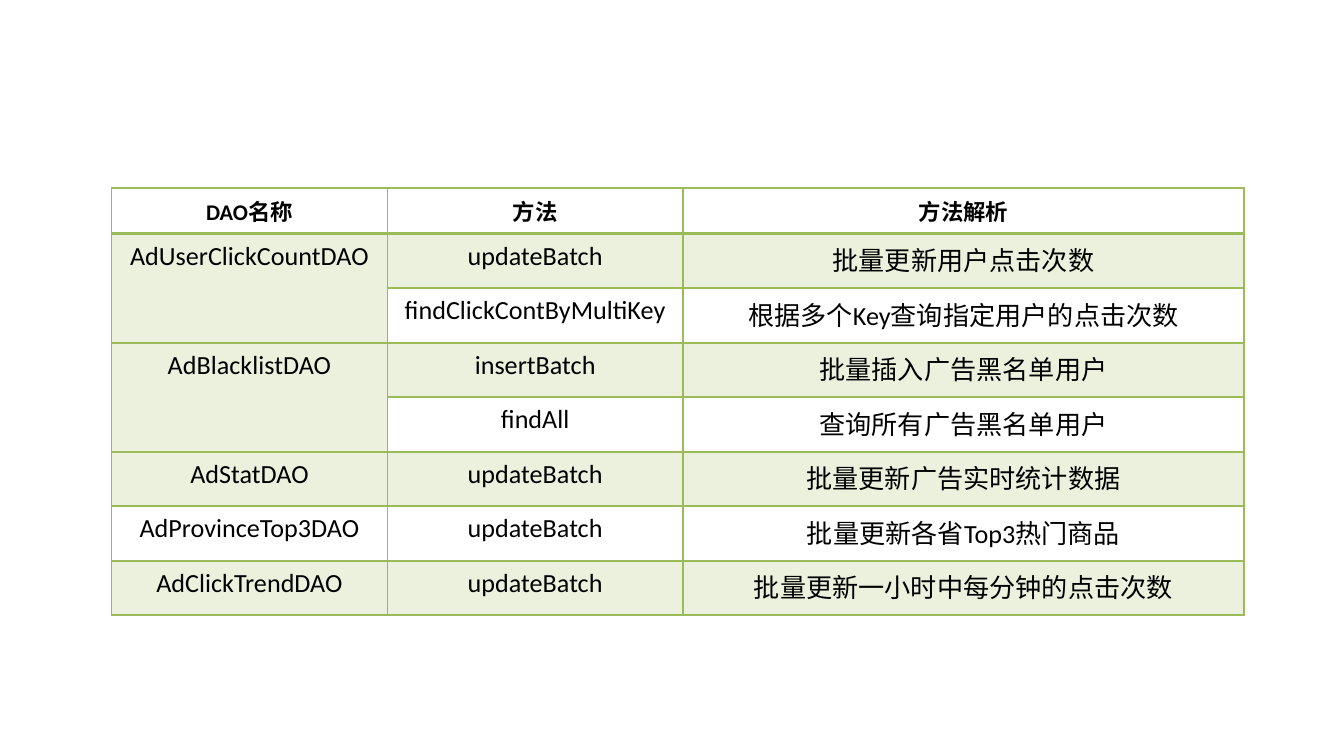
import pptx
import pptx.dml.color
import pptx.enum.text
import pptx.oxml
import pptx.oxml.ns
import pptx.util

Cm = pptx.util.Cm
Pt = pptx.util.Pt
BLACK = pptx.dml.color.RGBColor(0x00, 0x00, 0x00)
GREEN = pptx.dml.color.RGBColor(0x9B, 0xBB, 0x59)

HEADER = ("DAO名称", "方法", "方法解析")
DAOS = {
    "AdUserClickCountDAO": [
        ("updateBatch", "批量更新用户点击次数"),
        ("findClickContByMultiKey", "根据多个Key查询指定用户的点击次数"),
    ],
    "AdBlacklistDAO": [
        ("insertBatch", "批量插入广告黑名单用户"),
        ("findAll", "查询所有广告黑名单用户"),
    ],
    "AdStatDAO": [("updateBatch", "批量更新广告实时统计数据")],
    "AdProvinceTop3DAO": [("updateBatch", "批量更新各省Top3热门商品")],
    "AdClickTrendDAO": [("updateBatch", "批量更新一小时中每分钟的点击次数")],
}


class SlideBuilder:
    font = "Calibri"
    header_format = {"size": Pt(12), "bold": True}
    body_format = {"size": Pt(14), "bold": False}
    col_widths = (5.21, 5.59, 10.6)
    header_height, row_height = 0.8, 1.03

    def __init__(self, s):
        self.s = s

    def text(self, cell, text, fmt):
        p = cell.text_frame.paragraphs[0]
        p.alignment = pptx.enum.text.PP_ALIGN.CENTER
        r = p.add_run()
        r.text = text
        for name, value in {"name": self.font, **fmt}.items():
            setattr(r.font, name, value)
        r.font.color.rgb = BLACK

    def fill(self, cell, tinted):
        """Tint the cell with 20% green, or leave it clear."""
        if not tinted:
            cell.fill.background()
            return
        cell.fill.solid()
        cell.fill.fore_color.rgb = GREEN
        color = cell._tc.tcPr.find(".//" + pptx.oxml.ns.qn("a:srgbClr"))
        color.append(pptx.oxml.parse_xml(
            f'<a:alpha {pptx.oxml.ns.nsdecls("a")} val="20000"/>'))

    def borders(self, cell, top=1, bottom=1):
        widths = {"lnL": 1, "lnR": 1, "lnT": top, "lnB": bottom}
        for i, (side, width) in enumerate(widths.items()):
            cell._tc.get_or_add_tcPr().insert(i, pptx.oxml.parse_xml(
                f'<a:{side} {pptx.oxml.ns.nsdecls("a")} w="{Pt(width)}">'
                f'<a:solidFill><a:srgbClr val="{GREEN}"/></a:solidFill>'
                f'</a:{side}>'))

    def table(self, left, top, header, groups):
        """Draw a header and banded rows, merging the first column by group."""
        rows = [header] + [(name, *method) for name, methods in groups.items()
                           for method in methods]
        height = self.header_height + self.row_height * (len(rows) - 1)
        tbl = self.s.shapes.add_table(
            len(rows), len(header), Cm(left), Cm(top),
            Cm(sum(self.col_widths)), Cm(height)).table
        for column, width in zip(tbl.columns, self.col_widths):
            column.width = Cm(width)
        for i, values in enumerate(rows):
            tbl.rows[i].height = Cm(self.row_height if i else self.header_height)
            fmt = self.body_format if i else self.header_format
            for j, value in enumerate(values):
                cell = tbl.cell(i, j)
                if j or i == 0 or value != rows[i - 1][0]:
                    self.text(cell, value, fmt)
                self.fill(cell, i % 2 == 1)
                self.borders(cell, top=2 if i == 1 else 1,
                             bottom=2 if i == 0 else 1)
        first = 1
        for methods in groups.values():
            last = first + len(methods) - 1
            if last > first:
                tbl.cell(first, 0).merge(tbl.cell(last, 0))
            first = last + 1


def main():
    prs = pptx.Presentation()
    prs.slide_width, prs.slide_height = Cm(25.4), Cm(14.29)
    s = prs.slides.add_slide(prs.slide_layouts[6])
    SlideBuilder(s).table(2.11, 3.55, HEADER, DAOS)
    prs.save("out.pptx")


if __name__ == "__main__":
    main()
